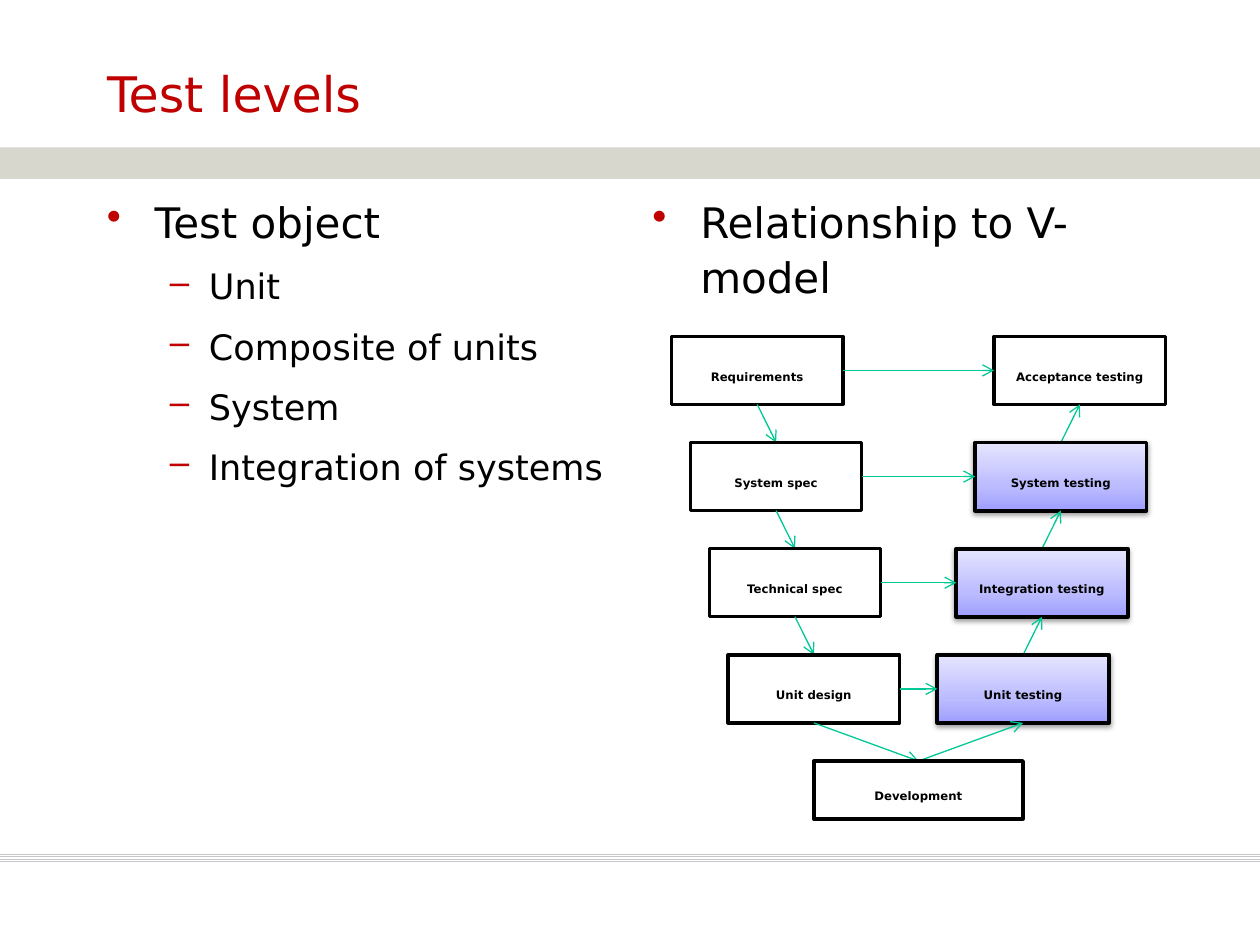
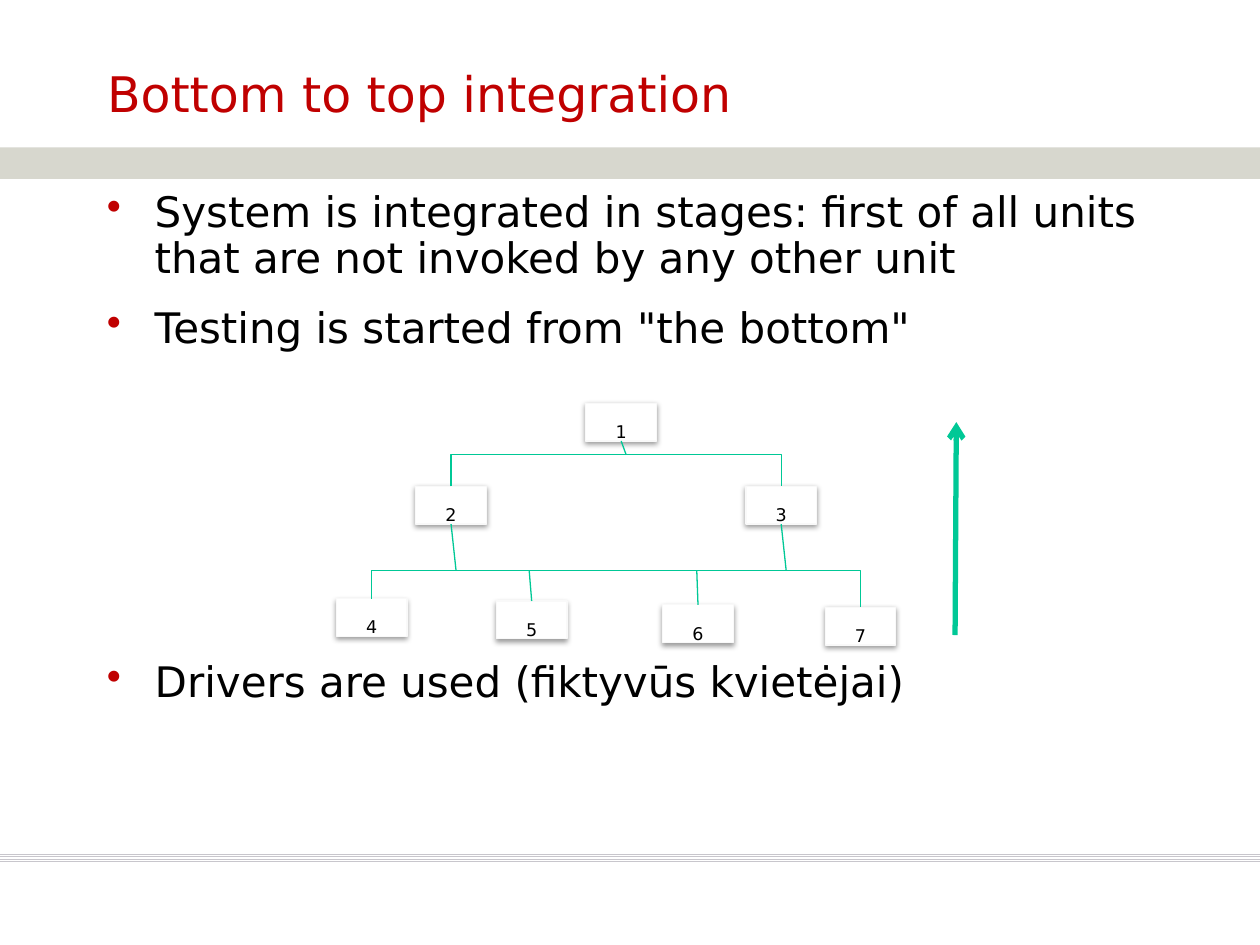
from dataclasses import dataclass

from lxml import etree
from pptx import Presentation
from pptx.dml.color import RGBColor
from pptx.enum.shapes import MSO_CONNECTOR, MSO_SHAPE
from pptx.enum.text import MSO_ANCHOR, PP_ALIGN
from pptx.oxml.ns import qn
from pptx.util import Inches, Pt

STRAIGHT, RECTANGLE = MSO_CONNECTOR.STRAIGHT, MSO_SHAPE.RECTANGLE
MIDDLE, LEFT, CENTER = MSO_ANCHOR.MIDDLE, PP_ALIGN.LEFT, PP_ALIGN.CENTER
TITLE_ONLY = 5


@dataclass(frozen=True)
class Theme:
    font: str = "DejaVu Sans"
    accent: str = "C00000"
    text: str = "000000"
    white: str = "FFFFFF"
    band: str = "D7D7CE"
    rule: str = "C8C6CC"
    arrow: str = "00C896"
    unit_edge: str = "F9F9F9"
    gradient: tuple = ((0, "9F9FFF"), (35, "BBBBFF"), (100, "E5E5FF"))
    title_size: float = 28
    level_sizes: tuple = (24, 20)
    stage_size: float = 6.7
    unit_size: float = 10


THEME = Theme()
BULLETS = ("•", "–")
INDENTS = ((0.38, -0.38), (0.81, -0.31))
SPACE_BEFORE = (60, 40)  # percent of the line, by level
TITLE_BOX = (0.75, 0.32, 8.5, 0.83)


# ---- Helpers ----
def rgb(value):
    return RGBColor.from_string(value)


def add_xml(parent, tag, **attributes):
    return etree.SubElement(parent, qn(tag), attributes)


def add_run(paragraph, text, size, color=THEME.text, bold=False):
    run = paragraph.add_run()
    run.text = text
    run.font.name = THEME.font
    run.font.size = Pt(size)
    run.font.bold = bold
    run.font.color.rgb = rgb(color)


def add_line(slide, start, end, color=THEME.arrow, width=0.75, arrow=False):
    line = slide.shapes.add_connector(
        STRAIGHT, *(Inches(value) for value in (*start, *end)))
    line.line.color.rgb = rgb(color)
    line.line.width = Pt(width)
    if arrow:
        add_xml(line.line._get_or_add_ln(), "a:tailEnd", type="arrow")
    add_xml(line._element.spPr, "a:effectLst")
    return line


def add_rectangle(slide, box, fill, edge=None, width=0):
    shape = slide.shapes.add_shape(RECTANGLE, *(Inches(value) for value in box))
    shape.shadow.inherit = False
    shape.fill.solid()
    shape.fill.fore_color.rgb = rgb(fill)
    if edge:
        shape.line.color.rgb = rgb(edge)
        shape.line.width = Pt(width)
    else:
        shape.line.fill.background()
    return shape


def add_label(shape, text, size, top_inset, bold=False):
    frame = shape.text_frame
    frame.word_wrap = True
    frame.vertical_anchor = MIDDLE
    frame.margin_top, frame.margin_bottom = Inches(top_inset), 0
    paragraph = frame.paragraphs[0]
    paragraph.alignment = CENTER
    add_run(paragraph, text, size, bold=bold)


def add_shadow(shape):
    effects = shape._element.spPr.find(qn("a:effectLst"))
    shadow = add_xml(effects, "a:outerShdw", blurRad=str(Pt(3.1)),
                     dist=str(Pt(1.6)), dir="5400000", rotWithShape="0")
    color = add_xml(shadow, "a:srgbClr", val=THEME.text)
    add_xml(color, "a:alpha", val="38000")


def set_gradient(shape):
    shape.fill.gradient()
    shape.fill.gradient_angle = 90
    stops = shape._element.spPr.find(".//" + qn("a:gsLst"))
    for stop in list(stops):
        stops.remove(stop)
    for position, color in THEME.gradient:
        stop = add_xml(stops, "a:gs", pos=str(position * 1000))
        add_xml(stop, "a:srgbClr", val=color)


# ---- Shared parts ----
def add_frame(slide):
    """Draw the band and footer rules, then move them to the layout."""
    parts = [add_line(slide, (0, 6.78 + 0.02 * row), (10, 6.78 + 0.02 * row),
                      THEME.rule, 0.5) for row in range(4)]
    parts.append(add_rectangle(slide, (0, 1.17, 10, 0.25), THEME.band))
    for part in parts:
        slide.slide_layout.shapes._spTree.append(part._element)


def add_title(slide, text):
    title = slide.shapes.title
    title.left, title.top, title.width, title.height = map(Inches, TITLE_BOX)
    title.text_frame.vertical_anchor = MIDDLE
    paragraph = title.text_frame.paragraphs[0]
    paragraph.alignment = LEFT
    add_run(paragraph, text, THEME.title_size, THEME.accent)


def add_bullets(slide, box, items, line_spacing):
    """Items are (level, text) or (level, text, space before in points)."""
    frame = slide.shapes.add_textbox(*(Inches(value) for value in box)).text_frame
    frame.word_wrap = True
    for index, (level, text, *gap) in enumerate(items):
        paragraph = frame.add_paragraph() if index else frame.paragraphs[0]
        paragraph.level = level
        paragraph.line_spacing = line_spacing
        properties = paragraph._p.get_or_add_pPr()
        margin, indent = INDENTS[level]
        properties.set("marL", str(Inches(margin)))
        properties.set("indent", str(Inches(indent)))
        if gap:
            paragraph.space_before = Pt(gap[0])
        else:
            before = add_xml(properties, "a:spcBef")
            add_xml(before, "a:spcPct", val=str(SPACE_BEFORE[level] * 1000))
        bullet_color = add_xml(properties, "a:buClr")
        add_xml(bullet_color, "a:srgbClr", val=THEME.accent)
        add_xml(properties, "a:buChar", char=BULLETS[level])
        add_run(paragraph, text, THEME.level_sizes[level])


# ---- V-model ----
def add_stage(slide, box, text, tested=False):
    shape = add_rectangle(slide, box, THEME.white, THEME.text,
                          2.25 if tested else 2)
    if tested:
        set_gradient(shape)
        add_shadow(shape)
    add_label(shape, text, THEME.stage_size, 0.1, bold=True)


def add_v_model(slide, box):
    left, top, width, height = box
    stage_width, stage_height, step = 1.36, 0.54, 0.15
    base_width, base_height = 1.66, 0.46
    rows = (("Requirements", "Acceptance testing"),
            ("System spec", "System testing"),
            ("Technical spec", "Integration testing"),
            ("Unit design", "Unit testing"))
    pitch = (height - base_height) / len(rows)
    middle = left + width / 2
    base_top = top + height - base_height

    for row, (spec, test) in enumerate(rows):
        y = top + row * pitch
        spec_x = left + row * step
        test_x = left + width - stage_width - row * step
        add_stage(slide, (spec_x, y, stage_width, stage_height), spec)
        add_stage(slide, (test_x, y, stage_width, stage_height), test,
                  tested=row > 0)

        # Arrows across, down the left arm and up the right arm
        center_y, bottom = y + stage_height / 2, y + stage_height
        add_line(slide, (spec_x + stage_width, center_y), (test_x, center_y),
                 arrow=True)
        spec_center = spec_x + stage_width / 2
        test_center = test_x + stage_width / 2
        if row < len(rows) - 1:
            below_spec = (spec_center + step, y + pitch)
            below_test = (test_center - step, y + pitch)
        else:
            below_spec = below_test = (middle, base_top)
        add_line(slide, (spec_center, bottom), below_spec, arrow=True)
        add_line(slide, below_test, (test_center, bottom), arrow=True)

    add_stage(slide, (middle - base_width / 2, base_top, base_width, base_height),
              "Development")


# ---- Unit tree ----
def add_bracket(slide, points):
    start, *rest = [(Inches(x), Inches(y)) for x, y in points]
    builder = slide.shapes.build_freeform(*start)
    builder.add_line_segments(rest, close=False)
    bracket = builder.convert_to_shape()
    bracket.shadow.inherit = False
    bracket.fill.background()
    bracket.line.color.rgb = rgb(THEME.arrow)
    bracket.line.width = Pt(0.75)


def add_unit_tree(slide, box):
    left, top, width, height = box
    unit_width, unit_height = 0.56, 0.3
    offsets = {"1": (1.98, 0), "2": (0.63, 0.66), "3": (3.25, 0.66),
               "4": (0, 1.55), "5": (1.27, 1.57), "6": (2.59, 1.6),
               "7": (3.88, 1.62)}
    tops = {}
    for name, (x, y) in offsets.items():
        shape = add_rectangle(slide, (left + x, top + y, unit_width, unit_height),
                              THEME.white, THEME.unit_edge, 0.75)
        add_shadow(shape)
        add_label(shape, name, THEME.unit_size, 0.15)
        tops[name] = (left + x + unit_width / 2, top + y)

    # A bracket over each row, joined to the units above
    for first, last, parents, rise in (("2", "3", "1", 0.41),
                                       ("4", "7", "23", 1.33)):
        bar = top + rise
        add_bracket(slide, (tops[first], (tops[first][0], bar),
                            (tops[last][0], bar), tops[last]))
        for parent in parents:
            x, y = tops[parent]
            add_line(slide, (x, y + unit_height), (x + 0.04, bar))
    for name, shift in (("5", -0.02), ("6", -0.01)):
        x, y = tops[name]
        add_line(slide, (x + shift, top + 1.33), (x, y))

    # Direction of integration
    right = left + width
    add_line(slide, (right - 0.01, top + height), (right, top + 0.15),
             width=3, arrow=True)


# ---- Slides ----
def build_test_levels(slide):
    add_title(slide, "Test levels")
    add_bullets(slide, (0.75, 1.47, 4.17, 5.2), (
        (0, "Test object"), (1, "Unit"), (1, "Composite of units"),
        (1, "System"), (1, "Integration of systems")), 1.1)
    add_bullets(slide, (5.08, 1.47, 4.17, 5.2),
                ((0, "Relationship to V-model"),), 1.1)
    add_v_model(slide, (5.33, 2.67, 3.92, 3.83))


def build_integration(slide):
    add_title(slide, "Bottom to top integration")
    add_bullets(slide, (0.75, 1.47, 8.5, 5.2), (
        (0, "System is integrated in stages: first of all units "
            "that are not invoked by any other unit"),
        (0, 'Testing is started from "the bottom"'),
        (0, "Drivers are used (fiktyvūs kvietėjai)", 176.5)), 0.9)
    add_unit_tree(slide, (2.67, 3.2, 4.92, 1.84))


presentation = Presentation()
presentation.slide_width, presentation.slide_height = Inches(10), Inches(7.5)
layout = presentation.slide_layouts[TITLE_ONLY]
slides = [presentation.slides.add_slide(layout) for _ in range(2)]
add_frame(slides[0])
build_test_levels(slides[0])
build_integration(slides[1])
presentation.save("out.pptx")
